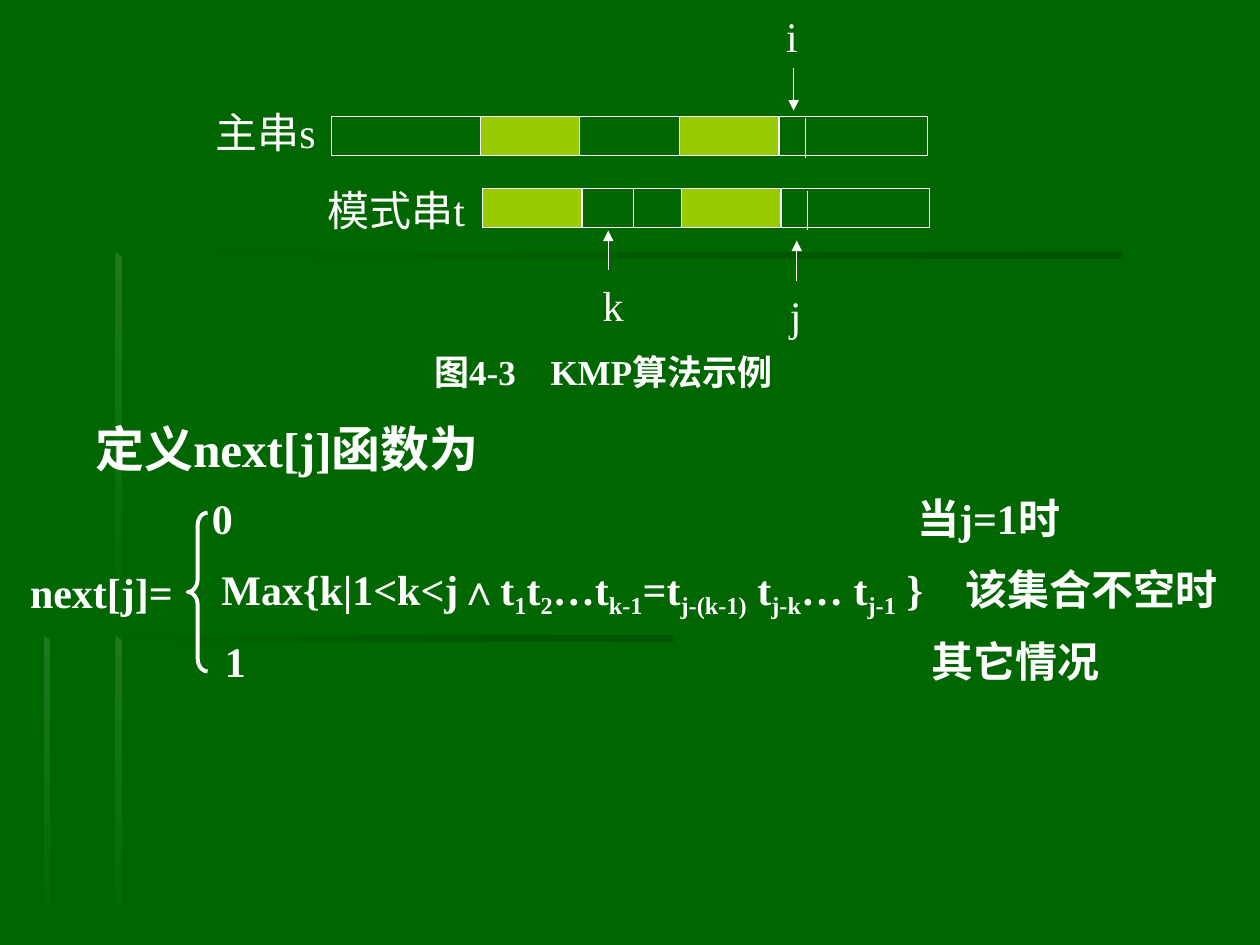
from lxml import etree
from pptx import Presentation
from pptx.dml.color import RGBColor
from pptx.enum import shapes, text
from pptx.oxml.ns import qn
from pptx.util import Pt

WHITE, GREEN, LIME = "FFFFFF", "006600", "99CC00"
DARK_BAR, LIGHT_BAR = "005300", "1E781E"
CELL_HEIGHT = 22.3
WIDE, NARROW = 85, 56.9


def color(code):
    return RGBColor.from_string(code)


def add_text(page, spans, left, top, width, height, size=24, bold=False,
             align=text.PP_ALIGN.LEFT, tab=None):
    """Add one line; spans is a string or a list of (words, baseline percent)."""
    box = page.shapes.add_textbox(Pt(left), Pt(top), Pt(width), Pt(height))
    frame = box.text_frame
    frame.word_wrap = True
    frame.vertical_anchor = text.MSO_ANCHOR.MIDDLE
    para = frame.paragraphs[0]
    para.alignment = align
    if tab:
        stops = etree.SubElement(para._p.get_or_add_pPr(), qn("a:tabLst"))
        etree.SubElement(stops, qn("a:tab"), pos=str(Pt(tab)), algn="l")
    for words, baseline in [(spans, 0)] if isinstance(spans, str) else spans:
        span = para.add_run()
        span.text = words
        span.font.size = Pt(size)
        span.font.bold = bold
        span.font.name = "Times New Roman"
        span.font.color.rgb = color(WHITE)
        properties = span._r.get_or_add_rPr()
        etree.SubElement(properties, qn("a:ea"), typeface="Noto Sans CJK SC")
        if baseline:
            properties.set("baseline", str(baseline * 1000))


def add_line(page, x, start, end, arrow=False):
    """Add a vertical line, with an arrowhead at its end if asked."""
    line = page.shapes.add_connector(
        shapes.MSO_CONNECTOR.STRAIGHT, Pt(x), Pt(start), Pt(x), Pt(end))
    line.line.color.rgb = color(WHITE)
    line.line.width = Pt(0.75)
    if arrow:
        etree.SubElement(line.line._get_or_add_ln(), qn("a:tailEnd"), type="triangle")
    etree.SubElement(line._element.spPr, qn("a:effectLst"))


def add_string_row(page, left, top, cells):
    """Add adjoining cells, each a (width, fill or None) pair."""
    for width, fill in cells:
        cell = page.shapes.add_shape(
            shapes.MSO_SHAPE.RECTANGLE, Pt(left), Pt(top), Pt(width), Pt(CELL_HEIGHT))
        cell.shadow.inherit = False
        cell.line.color.rgb = color(WHITE)
        cell.line.width = Pt(0.75)
        if fill:
            cell.fill.solid()
            cell.fill.fore_color.rgb = color(fill)
        else:
            cell.fill.background()
        left += width


def add_bar(page, points, start_color, angle):
    """Add a polygon that fades into the background."""
    builder = page.shapes.build_freeform(*points[0], scale=Pt(1))
    builder.add_line_segments(points[1:], close=True)
    bar = builder.convert_to_shape()
    bar.shadow.inherit = False
    bar.line.fill.background()
    bar.fill.gradient()
    bar.fill.gradient_angle = angle
    for stop, code in zip(bar.fill.gradient_stops, (start_color, GREEN)):
        stop.color.rgb = color(code)


def add_horizontal_bar(page, left, top, width):
    right, bottom = left + width, top + 3.8
    add_bar(page, [(left, top), (right, top), (right, bottom), (left, bottom)],
            DARK_BAR, 180)


def add_vertical_bar(page, left, top, bottom):
    right = left + 3.9
    add_bar(page, [(left, top), (right, top + 3), (right, bottom), (left, bottom)],
            LIGHT_BAR, 270)


def add_brace(page, left, top, width, height):
    brace = page.shapes.add_shape(
        shapes.MSO_SHAPE.LEFT_BRACE, Pt(left), Pt(top), Pt(width), Pt(height))
    brace.adjustments[0] = 0.65
    brace.shadow.inherit = False
    brace.fill.background()
    brace.line.color.rgb = color(WHITE)
    brace.line.width = Pt(2.25)


def add_backdrop(page):
    page.background.fill.solid()
    page.background.fill.fore_color.rgb = color(GREEN)
    add_horizontal_bar(page, 66, 143.8, 576)
    add_horizontal_bar(page, 25, 362.9, 360)
    add_vertical_bar(page, 66, 143.8, 367)
    add_vertical_bar(page, 65.8, 362.9, 540)
    add_vertical_bar(page, 25, 362.9, 540)


def add_matching_figure(page):
    center = text.PP_ALIGN.CENTER
    pattern = [(NARROW, LIME), (NARROW, None), (NARROW, LIME), (WIDE, None)]
    add_string_row(page, 189.4, 66.4, [(WIDE, None)] + pattern[:3] + pattern[3:])
    add_string_row(page, 275.6, 107.8, pattern)
    for x, top in [(460.2, 67.7), (362.2, 107.8), (461.6, 108.9)]:
        add_line(page, x, top, top + CELL_HEIGHT)
    add_text(page, "主串s", 116, 61.2, 85, 28)
    add_text(page, "模式串t", 180, 105.8, 105, 28)
    for name, middle, top, x, start, end in [
            ("i", 452.5, 9.4, 453.5, 38.9, 63.2),
            ("k", 350.3, 162.7, 347.6, 154.2, 131.8),
            ("j", 454.7, 168.5, 455.3, 160.4, 137.5)]:
        add_text(page, name, middle - 20, top, 40, 22.3, align=center)
        add_line(page, x, start, end, arrow=True)
    add_text(page, "图4-3\tKMP算法示例", 241, 197.3, 240, 30,
             size=20, bold=True, tab=66.5)


def add_next_definition(page):
    center = text.PP_ALIGN.CENTER
    add_text(page, "定义next[j]函数为", 39, 236.2, 250, 39.6,
             size=28, bold=True, align=center)
    add_text(page, "next[j]=", 8, 321.1, 100, 34, bold=True, align=center)
    add_brace(page, 107.3, 293, 11.3, 90.7)
    condition = [("Max{k|1<k<j∧t", 0), ("1", -22), ("t", 0), ("2", -20),
                 ("…t", 0), ("k-1", -20), ("=t", 0), ("j-(k-1)", -20),
                 (" t", 0), ("j-k", -20), ("… t", 0), ("j-1", -20),
                 (" }\t该集合不空时", 0)]
    for spans, left, top, tab in [("0\t当j=1时", 114, 278.6, 403),
                                  (condition, 119.5, 321.1, 425),
                                  ("1\t其它情况", 121.5, 360.7, 404)]:
        add_text(page, spans, left, top, 590, 34, bold=True, tab=tab)


def main():
    deck = Presentation()
    deck.slide_width, deck.slide_height = Pt(720), Pt(540)
    page = deck.slides.add_slide(deck.slide_layouts[6])
    add_backdrop(page)
    add_matching_figure(page)
    add_next_definition(page)
    deck.save("out.pptx")


if __name__ == "__main__":
    main()
